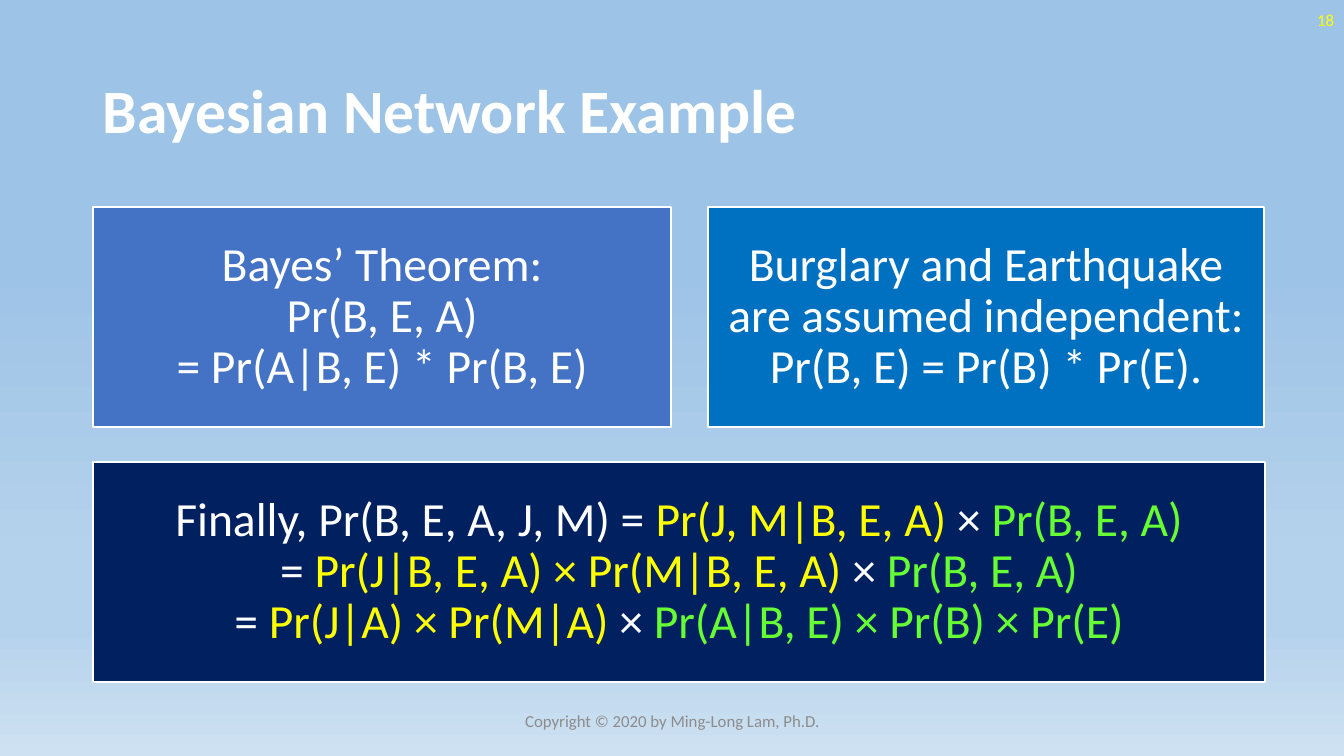
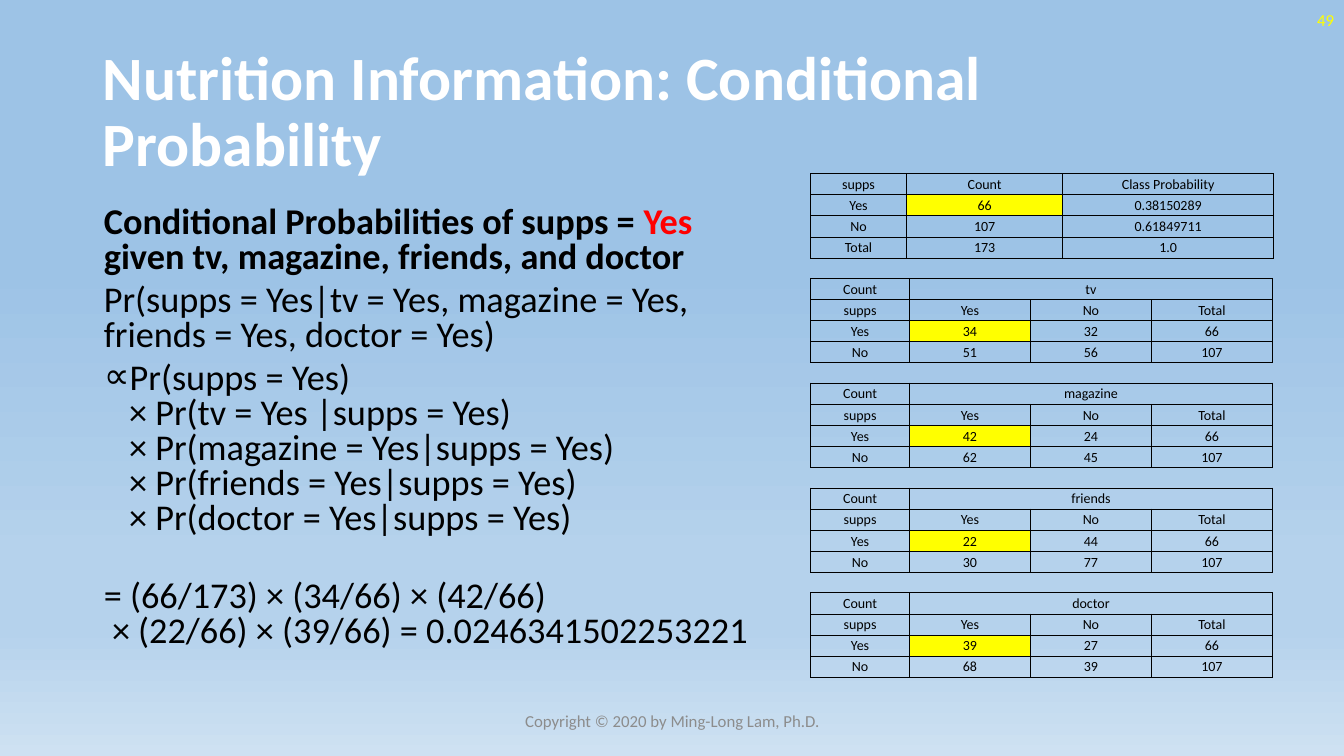
from copy import deepcopy

from lxml.etree import SubElement
from pptx import Presentation
from pptx.dml.color import RGBColor
from pptx.enum.shapes import MSO_SHAPE as Shape
from pptx.enum.text import MSO_ANCHOR as Anchor, MSO_AUTO_SIZE as AutoSize, PP_ALIGN as Align
from pptx.oxml.ns import qn
from pptx.util import Inches, Pt

FONT = "Calibri"
WHITE = RGBColor(0xFF, 0xFF, 0xFF)
BLACK = RGBColor(0x00, 0x00, 0x00)
RED = RGBColor(0xFF, 0x00, 0x00)
YELLOW = RGBColor(0xFF, 0xFF, 0x00)
GREEN = RGBColor(0x66, 0xFF, 0x33)
GRAY = RGBColor(0x8C, 0x8C, 0x8C)
INDIGO = RGBColor(0x44, 0x72, 0xC4)
BLUE = RGBColor(0x00, 0x70, 0xC0)
NAVY = RGBColor(0x00, 0x20, 0x60)
SKY = RGBColor(0x9D, 0xC3, 0xE6)
HAZE = RGBColor(0xB5, 0xD2, 0xEC)
MIST = RGBColor(0xCE, 0xE1, 0xF2)
BACKGROUND_STOPS = [(35, SKY), (74, HAZE), (83, HAZE), (100, MIST)]

COPYRIGHT = "Copyright © 2020 by Ming-Long Lam, Ph.D."
TITLE_ONLY, TITLE_AND_BODY = 5, 1


class Lecture:
    """Holds the shared style and the page being filled."""

    def __init__(self):
        self.deck = Presentation()
        self.deck.slide_width = Inches(13.33)
        self.deck.slide_height = Inches(7.5)
        self.page = None
        self.paint_background()

    def paint_background(self):
        fill = self.deck.slide_master.background.fill
        fill.gradient()
        fill.gradient_angle = 270
        stops = fill._fill._gradFill.find(qn("a:gsLst"))
        for stop in list(stops):
            stops.remove(stop)
        for percent, color in BACKGROUND_STOPS:
            stop = SubElement(stops, qn("a:gs"), pos=str(percent * 1000))
            SubElement(stop, qn("a:srgbClr"), val=str(color))

    def new_page(self, title, number, layout):
        self.page = self.deck.slides.add_slide(self.deck.slide_layouts[layout])
        box = self.page.shapes.title
        self.place(box, 0.92, 0.4, 11.5, 1.45)
        box.text_frame.vertical_anchor = Anchor.MIDDLE
        self.add_spans(box.text_frame.paragraphs[0], [(title, WHITE)], 44,
                       bold=True, spacing=0.9)
        self.label(str(number), 10.33, 0, 3, YELLOW, Align.RIGHT)
        self.label(COPYRIGHT, 4.42, 6.95, 4.5, GRAY, Align.CENTER)

    def place(self, box, left, top, width, height):
        box.left, box.top = Inches(left), Inches(top)
        box.width, box.height = Inches(width), Inches(height)
        box.text_frame.word_wrap = True
        box.text_frame.auto_size = AutoSize.NONE

    def add_spans(self, para, spans, size, align=Align.LEFT, bold=False, spacing=1.0, before=0):
        """Fill a paragraph with (text, colour) spans; a newline is a line break."""
        para.alignment = align
        para.line_spacing = spacing
        para.space_before = Pt(before)
        for text, color in spans:
            for index, line in enumerate(text.split("\n")):
                if index:
                    para.add_line_break()
                if line:
                    span = para.add_run()
                    span.text = line
                    font = span.font
                    font.name, font.size, font.bold = FONT, Pt(size), bold
                    font.color.rgb = color
        for line_break in para._p.findall(qn("a:br")):
            line_break.append(deepcopy(para.runs[0]._r.rPr))

    def label(self, text, left, top, width, color, align):
        box = self.page.shapes.add_textbox(Inches(left), Inches(top), Inches(width), Inches(0.4))
        box.text_frame.word_wrap = True
        box.text_frame.vertical_anchor = Anchor.MIDDLE
        self.add_spans(box.text_frame.paragraphs[0], [(text, color)], 12, align)

    def panel(self, spans, left, top, width, color):
        box = self.page.shapes.add_shape(Shape.RECTANGLE, Inches(left), Inches(top),
                                         Inches(width), Inches(2.19))
        box.shadow.inherit = False
        box.fill.solid()
        box.fill.fore_color.rgb = color
        box.line.color.rgb = WHITE
        box.line.width = Pt(1.5)
        frame = box.text_frame
        frame.word_wrap = True
        frame.vertical_anchor = Anchor.MIDDLE
        frame.margin_left = frame.margin_right = Inches(0.14)
        frame.margin_top = frame.margin_bottom = Inches(0.14)
        self.add_spans(frame.paragraphs[0], spans, 34, Align.CENTER, spacing=0.9)

    def body(self, items):
        """Fill the body with (spans, bold, bullet, space before) items."""
        box = self.page.placeholders[1]
        self.place(box, 0.93, 2, 6.74, 4.76)
        frame = box.text_frame
        for index, (spans, bold, bullet, before) in enumerate(items):
            para = frame.add_paragraph() if index else frame.paragraphs[0]
            self.set_bullet(para, bullet)
            self.add_spans(para, spans, 25.9, bold=bold, spacing=0.8, before=before)

    def set_bullet(self, para, bullet):
        properties = para._p.get_or_add_pPr()
        indent = Inches(0.25) if bullet else 0
        properties.set("marL", str(int(indent)))
        properties.set("indent", str(-int(indent)))
        if bullet:
            SubElement(properties, qn("a:buFont"), typeface=FONT)
            SubElement(properties, qn("a:buChar"), char=bullet)
        else:
            SubElement(properties, qn("a:buNone"))

    def table(self, rows, top, widths, highlight):
        """Add a bordered table; highlight is the (row, column) to mark."""
        height = 0.21
        frame = self.page.shapes.add_table(len(rows), len(widths), Inches(8.04), Inches(top),
                                           Inches(sum(widths)), Inches(height * len(rows)))
        table = frame.table
        table.first_row = table.horz_banding = False
        for column, width in zip(table.columns, widths):
            column.width = Inches(width)
        for row_index, values in enumerate(rows):
            table.rows[row_index].height = Inches(height)
            for column_index in range(len(widths)):
                cell = table.cell(row_index, column_index)
                self.style_cell(cell, (row_index, column_index) == highlight)
                if column_index < len(values):
                    self.add_spans(cell.text_frame.paragraphs[0],
                                   [(str(values[column_index]), BLACK)], 10, Align.CENTER)
            if len(values) < len(widths):
                table.cell(row_index, len(values) - 1).merge(
                    table.cell(row_index, len(widths) - 1))

    def style_cell(self, cell, highlighted):
        cell.vertical_anchor = Anchor.MIDDLE
        cell.margin_left = cell.margin_right = cell.margin_top = Inches(0.01)
        cell.margin_bottom = 0
        properties = cell._tc.get_or_add_tcPr()
        for side in ("lnL", "lnR", "lnT", "lnB"):
            border = SubElement(properties, qn(f"a:{side}"), w=str(int(Pt(0.5))))
            fill = SubElement(border, qn("a:solidFill"))
            SubElement(fill, qn("a:srgbClr"), val=str(BLACK))
        if highlighted:
            cell.fill.solid()
            cell.fill.fore_color.rgb = YELLOW
        else:
            cell.fill.background()


def build_network_page(lecture):
    lecture.new_page("Bayesian Network Example", 18, TITLE_ONLY)
    lecture.panel([("Bayes’ Theorem:\nPr(B, E, A)\n= Pr(A|B, E) * Pr(B, E)", WHITE)],
                  0.92, 2.05, 5.74, INDIGO)
    lecture.panel([("Burglary and Earthquake are assumed independent:\n"
                    "Pr(B, E) = Pr(B) * Pr(E).", WHITE)], 7.02, 2.05, 5.52, BLUE)
    lecture.panel([
        ("Finally, Pr(B, E, A, J, M) = ", WHITE), ("Pr(J, M|B, E, A)", YELLOW),
        (" × ", WHITE), ("Pr(B, E, A)\n", GREEN),
        ("= ", WHITE), ("Pr(J|B, E, A) × Pr(M|B, E, A)", YELLOW),
        (" × ", WHITE), ("Pr(B, E, A)\n", GREEN),
        ("= ", WHITE), ("Pr(J|A) × Pr(M|A)", YELLOW),
        (" × ", WHITE), ("Pr(A|B, E) × Pr(B) × Pr(E)", GREEN),
    ], 0.92, 4.58, 11.63, NAVY)


def build_probability_page(lecture):
    lecture.new_page("Nutrition Information: Conditional Probability", 49, TITLE_AND_BODY)
    factors = "Pr(supps = Yes)" + "".join(
        f"\n× Pr({condition}|supps = Yes)"
        for condition in ("tv = Yes ", "magazine = Yes", "friends = Yes", "doctor = Yes"))
    lecture.body([
        ([("Conditional Probabilities of supps = ", BLACK), ("Yes", RED),
          (" given tv, magazine, friends, and doctor", BLACK)], True, None, 0),
        ([("Pr(supps = Yes|tv = Yes, magazine = Yes,\nfriends = Yes, doctor = Yes)", BLACK)],
         False, None, 6),
        ([(factors, BLACK)], False, "∝", 6),
        ([("= (66/173) × (34/66) × (42/66)\n × (22/66) × (39/66) = 0.0246341502253221", BLACK)],
         False, None, 31),
    ])

    first_top, step = 1.72, 1.04
    lecture.table([
        ["supps", "Count", "Class Probability"],
        ["Yes", 66, "0.38150289"],
        ["No", 107, "0.61849711"],
        ["Total", 173, "1.0"],
    ], first_top, [0.95, 1.55, 2.09], (1, 1))
    counts = {
        "tv": [(34, 32), (51, 56)],
        "magazine": [(42, 24), (62, 45)],
        "friends": [(22, 44), (30, 77)],
        "doctor": [(39, 27), (68, 39)],
    }
    for index, (source, (takers, others)) in enumerate(counts.items(), start=1):
        lecture.table([
            ["Count", source],
            ["supps", "Yes", "No", "Total"],
            ["Yes", *takers, sum(takers)],
            ["No", *others, sum(others)],
        ], first_top + index * step, [0.98, 1.2, 1.2, 1.2], (2, 1))


def main():
    lecture = Lecture()
    build_network_page(lecture)
    build_probability_page(lecture)
    lecture.deck.save("out.pptx")


if __name__ == "__main__":
    main()
